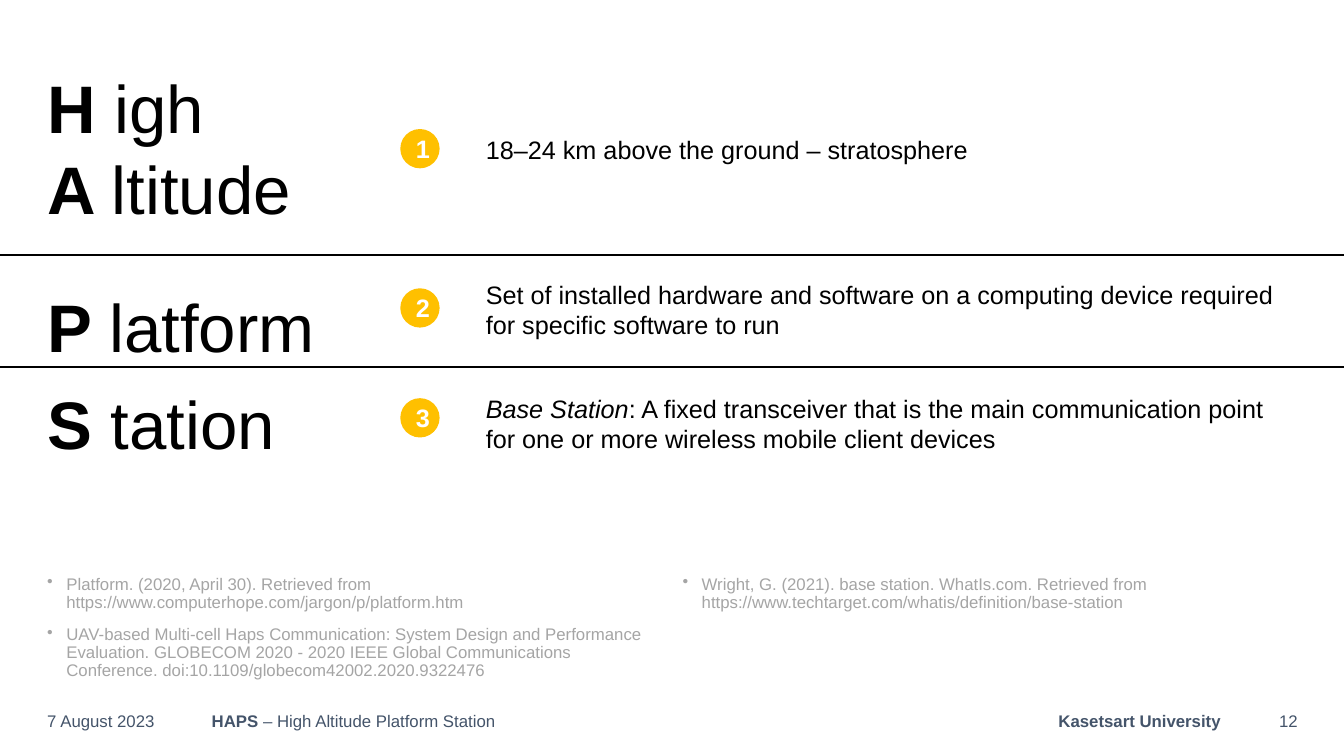
from dataclasses import dataclass

from lxml.etree import SubElement
from pptx import Presentation
from pptx.dml.color import RGBColor
from pptx.enum.shapes import MSO_CONNECTOR, MSO_SHAPE
from pptx.enum.text import MSO_ANCHOR as Anchor, MSO_AUTO_SIZE as AutoSize, PP_ALIGN as Align
from pptx.oxml.ns import qn
from pptx.util import Inches, Pt


@dataclass(frozen=True)
class Theme:
    font: str = "Arial"
    ink: str = "000000"
    accent: str = "FFC000"
    on_accent: str = "FFFFFF"
    reference: str = "A5A5A5"
    footer: str = "44546A"
    acronym_size: int = 48
    body_size: int = 18
    small_size: int = 12


def write(paragraph, runs, *, font, size, color, align=Align.LEFT, before=0, after=0,
          spacing=1.0, bullet=None, indent=0, right_tab=None):
    """Fill a paragraph with (text, style) runs; style holds any of b and i, and "\\n" breaks the line."""
    paragraph.alignment = align
    paragraph.space_before, paragraph.space_after = Pt(before), Pt(after)
    paragraph.line_spacing = spacing
    properties = paragraph._p.get_or_add_pPr()
    if bullet:
        properties.set("marL", str(Inches(indent)))
        properties.set("indent", str(-Inches(indent)))
        SubElement(properties, qn("a:buChar"), char=bullet)
    if right_tab:
        tabs = SubElement(properties, qn("a:tabLst"))
        SubElement(tabs, qn("a:tab"), pos=str(Inches(right_tab)), algn="r")
    for text, style in runs:
        if text == "\n":
            paragraph.add_line_break()
            continue
        run = paragraph.add_run()
        run.text = text
        run.font.name, run.font.size = font, Pt(size)
        run.font.bold, run.font.italic = "b" in style, "i" in style
        run.font.color.rgb = RGBColor.from_string(color)


class SlideBuilder:
    def __init__(self, slide, theme):
        self.slide = slide
        self.theme = theme

    def text(self, box, paragraphs, *, anchor=Anchor.TOP, inset=0.05, grow=False, columns=1,
             gap=0.2, **style):
        """Add a text box; each paragraph is (runs, its own format)."""
        shape = self.slide.shapes.add_textbox(*map(Inches, box))
        frame = shape.text_frame
        frame.word_wrap = True
        frame.auto_size = AutoSize.SHAPE_TO_FIT_TEXT if grow else AutoSize.NONE
        frame.vertical_anchor = anchor
        frame.margin_top = frame.margin_bottom = Inches(inset)
        if columns > 1:
            body = frame._txBody.bodyPr
            body.set("numCol", str(columns))
            body.set("spcCol", str(Inches(gap)))
        for index, (runs, own) in enumerate(paragraphs):
            paragraph = frame.add_paragraph() if index else frame.paragraphs[0]
            write(paragraph, runs, **{"font": self.theme.font, **style, **own})

    def rule(self, top):
        line = self.slide.shapes.add_connector(
            MSO_CONNECTOR.STRAIGHT, 0, Inches(top), Inches(13.33), Inches(top))
        line.line.color.rgb = RGBColor.from_string(self.theme.ink)
        line.line.width = Pt(1.5)
        SubElement(line._element.spPr, qn("a:effectLst"))

    def badge(self, number, top):
        theme = self.theme
        shape = self.slide.shapes.add_shape(
            MSO_SHAPE.OVAL, Inches(3.97), Inches(top), Inches(0.39), Inches(0.39))
        shape.shadow.inherit = False
        shape.fill.solid()
        shape.fill.fore_color.rgb = RGBColor.from_string(theme.accent)
        shape.line.fill.background()
        shape.text_frame.vertical_anchor = Anchor.MIDDLE
        write(shape.text_frame.paragraphs[0], [(str(number), "b")], font=theme.font,
              size=theme.body_size, color=theme.on_accent, align=Align.CENTER)

    def definition(self, number, badge_top, text_top, height, runs):
        self.text((4.72, text_top, 8.25, height), [(runs, {})], inset=0.1, grow=True,
                  size=self.theme.body_size, color=self.theme.ink)
        self.badge(number, badge_top)

    def footer(self, left, width, runs, **style):
        self.text((left, 6.95, width, 0.4), [(runs, style)], anchor=Anchor.MIDDLE,
                  size=self.theme.small_size, color=self.theme.footer)


REFERENCES = [
    "Platform. (2020, April 30). Retrieved from https://www.computerhope.com/jargon/p/platform.htm",
    "UAV-based Multi-cell Haps Communication: System Design and Performance Evaluation. "
    "GLOBECOM 2020 - 2020 IEEE Global Communications Conference. "
    "doi:10.1109/globecom42002.2020.9322476",
    "Wright, G. (2021). base station. WhatIs.com. Retrieved from "
    "https://www.techtarget.com/whatis/definition/base-station",
]
ACRONYM = [
    ([("H ", "b"), ("igh", ""), ("\n", ""), ("A ", "b"), ("ltitude", "")], {}),
    ([("P ", "b"), ("latform", "")], {"spacing": 1.5, "before": 12}),
    ([("S ", "b"), ("tation", "")], {"before": 12, "after": 12}),
]
DEFINITIONS = [  # badge top, text top, text height, runs
    (1.28, 1.23, 0.5, [("18–24 km above the ground – stratosphere", "")]),
    (2.86, 2.67, 0.81, [("Set of installed hardware and software on a computing device "
                         "required for specific software to run", "")]),
    (3.95, 3.8, 0.81, [("Base Station", "i"),
                       (": A fixed transceiver that is the main communication point "
                        "for one or more wireless mobile client devices", "")]),
]


def main():
    presentation = Presentation()
    presentation.slide_width, presentation.slide_height = Inches(13.33), Inches(7.5)
    theme = Theme()
    builder = SlideBuilder(presentation.slides.add_slide(presentation.slide_layouts[6]), theme)

    builder.text((0.37, 5.48, 12.6, 1.32),
                 [([(reference, "")], {"before": 10 if index else 0})
                  for index, reference in enumerate(REFERENCES)],
                 anchor=Anchor.BOTTOM, columns=2, size=theme.small_size, color=theme.reference,
                 spacing=0.9, bullet="•", indent=0.19)
    builder.footer(0.37, 1.28, [("7 August 2023", "")])
    builder.footer(1.82, 10.57, [("HAPS ", "b"), ("– High Altitude Platform Station\t", ""),
                                 ("Kasetsart University", "b")],
                   align=Align.CENTER, right_tab=10.01)
    builder.footer(12.39, 0.58, [("12", "")], align=Align.RIGHT)

    builder.text((0.37, 0.56, 3.24, 4.34), ACRONYM, inset=0.1, grow=True,
                 size=theme.acronym_size, color=theme.ink)
    for top in (2.53, 3.64):
        builder.rule(top)
    for number, definition in enumerate(DEFINITIONS, start=1):
        builder.definition(number, *definition)

    presentation.save("out.pptx")


if __name__ == "__main__":
    main()
